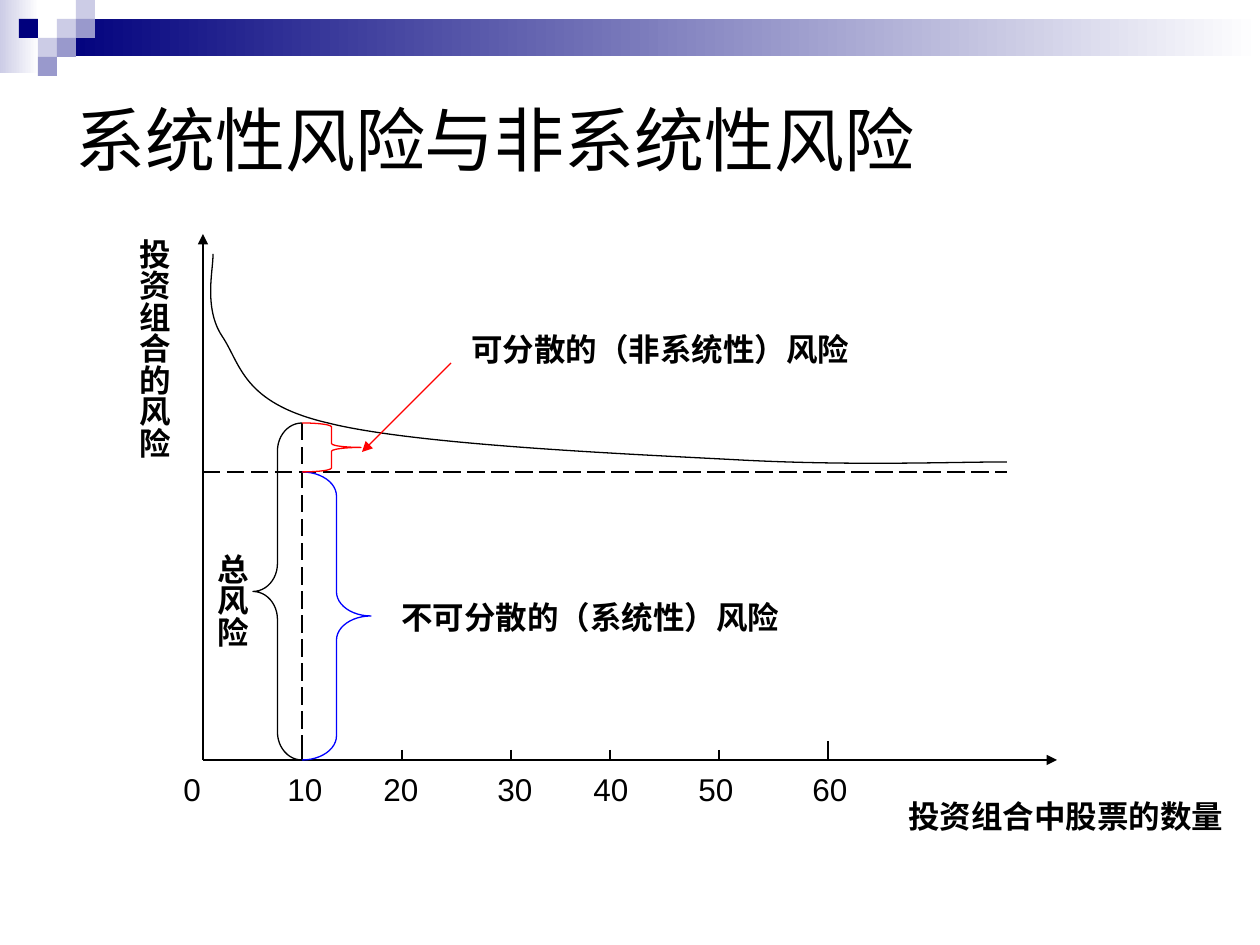
from dataclasses import dataclass

from pptx import Presentation
from pptx.dml.color import RGBColor
from pptx.enum.dml import MSO_LINE as Dash
from pptx.enum.shapes import MSO_CONNECTOR as Connector, MSO_SHAPE as Shape
from pptx.enum.text import MSO_ANCHOR as Anchor, MSO_AUTO_SIZE as AutoSize
from pptx.oxml.ns import qn
from pptx.util import Pt
from lxml.etree import SubElement

EMU_PER_PX = 914400 / 126


@dataclass(frozen=True)
class Theme:
    black: str = "000000"
    white: str = "FFFFFF"
    navy: str = "00007D"
    lilac: str = "CCCCE6"
    violet: str = "9999CC"
    red: str = "FF0000"
    blue: str = "0000FF"
    latin: str = "Arial"
    chinese: str = "Noto Sans CJK SC"
    title_size: int = 40
    label_size: int = 18
    thin: float = 0.75
    dashed: float = 1.25


THEME = Theme()


def px(value):
    return round(value * EMU_PER_PX)


def box(*lengths):
    return [px(length) for length in lengths]


def rgb(color):
    return RGBColor.from_string(color)


def add_block(slide, bounds, start, end=None):
    """Borderless rectangle, plain or fading from left to right."""
    block = slide.shapes.add_shape(Shape.RECTANGLE, *box(*bounds))
    block.shadow.inherit = False
    block.line.fill.background()
    if end is None:
        block.fill.solid()
        block.fill.fore_color.rgb = rgb(start)
        return
    block.fill.gradient()
    block.fill.gradient_angle = 0
    for stop, color in zip(block.fill.gradient_stops, (start, end)):
        stop.color.rgb = rgb(color)


def add_line(slide, start, end, color=THEME.black, arrow=False, dashed=False):
    line = slide.shapes.add_connector(Connector.STRAIGHT, *box(*start, *end))
    line.line.color.rgb = rgb(color)
    line.line.width = Pt(THEME.dashed if dashed else THEME.thin)
    if dashed:
        line.line.dash_style = Dash.LONG_DASH
    if arrow:
        SubElement(line.line._get_or_add_ln(), qn("a:tailEnd"), type="triangle")
    SubElement(line._element.spPr, qn("a:effectLst"))


def add_brace(slide, kind, bounds, color):
    brace = slide.shapes.add_shape(kind, *box(*bounds))
    brace.shadow.inherit = False
    brace.fill.background()
    brace.line.color.rgb = rgb(color)
    brace.line.width = Pt(THEME.thin)
    # Each rounded part takes a twelfth of the height
    width, height = bounds[2:]
    brace.adjustments[0] = round(height / 12 / min(width, height), 2)


def add_curve(slide, points):
    """Smooth open path: a start point, then three Bezier points a segment."""
    builder = slide.shapes.build_freeform(*points[0], scale=EMU_PER_PX)
    builder.add_line_segments(points[1:], close=False)
    curve = builder.convert_to_shape()
    curve.shadow.inherit = False
    curve.fill.background()
    curve.line.color.rgb = rgb(THEME.black)
    curve.line.width = Pt(THEME.thin)
    outline = next(curve._element.iter(qn("a:path")))
    steps = outline.findall(qn("a:lnTo"))
    for first in range(0, len(steps), 3):
        bezier = SubElement(outline, qn("a:cubicBezTo"))
        for step in steps[first:first + 3]:
            bezier.append(step[0])
            outline.remove(step)


def add_text(slide, bounds, text, size=THEME.label_size, bold=False,
             latin=THEME.latin, vertical=False, wrap=False, tabs=()):
    label = slide.shapes.add_textbox(*box(*bounds))
    frame = label.text_frame
    frame.text = text
    frame.word_wrap = wrap
    frame.auto_size = AutoSize.NONE if wrap else AutoSize.SHAPE_TO_FIT_TEXT
    if vertical:
        frame._txBody.bodyPr.set("vert", "eaVert")
        frame.margin_left = frame.margin_right = Pt(3.6)
        frame.margin_top = frame.margin_bottom = Pt(7.2)
    paragraph = frame.paragraphs[0]
    if tabs:
        tab_list = SubElement(paragraph._p.get_or_add_pPr(), qn("a:tabLst"))
        for tab in tabs:
            SubElement(tab_list, qn("a:tab"), pos=str(px(tab)), algn="l")
    for run in paragraph.runs:
        run.font.size = Pt(size)
        run.font.bold = bold
        run.font.name = latin
        run.font.color.rgb = rgb(THEME.black)
        SubElement(run._r.get_or_add_rPr(), qn("a:ea"), typeface=THEME.chinese)
    return frame


def add_banner(slide):
    add_block(slide, (0, 0, 39, 73), THEME.lilac, THEME.white)
    add_block(slide, (57, 19, 1203, 37), THEME.navy, THEME.white)
    side = 19
    squares = [(3, 1, THEME.lilac), (4, 0, THEME.lilac), (4, 1, THEME.violet),
               (2, 2, THEME.lilac), (1, 1, THEME.navy), (3, 2, THEME.violet),
               (2, 3, THEME.violet)]
    for column, row, color in squares:
        add_block(slide, (column * side, row * side, side, side), color)


def add_risk_diagram(slide):
    left, base, market_risk, total_risk = 203, 760, 472, 423
    tick_xs = [302, 402, 511, 610, 719, 828]
    sample = tick_xs[0]

    # Axes, level of systematic risk and ticks
    add_line(slide, (left, base), (1057, base), arrow=True)
    add_line(slide, (left, base), (left, 234), arrow=True)
    add_line(slide, (left, market_risk), (1007, market_risk), dashed=True)
    for x in tick_xs:
        add_line(slide, (x, 741 if x == tick_xs[-1] else 750), (x, base))
    add_text(slide, (171, 764, 690, 50), "0\t10\t20\t30\t40\t50\t60",
             wrap=True, tabs=(104, 200, 314, 410, 515, 629))

    # Falling portfolio risk
    add_curve(slide, [(213, 254), (214, 267), (203, 307), (222, 336),
                      (241, 364), (242, 403), (328, 423),
                      (415, 445), (627, 454), (740, 460),
                      (853, 466), (951, 462), (1007, 462)])
    add_line(slide, (sample, total_risk), (sample, base), dashed=True)

    # Braces splitting the total risk
    add_brace(slide, Shape.RIGHT_BRACE,
              (sample, market_risk, 69, base - market_risk), THEME.blue)
    add_brace(slide, Shape.LEFT_BRACE,
              (sample - 49, total_risk, 49, base - total_risk), THEME.black)
    add_brace(slide, Shape.RIGHT_BRACE,
              (sample, total_risk, 59, market_risk - total_risk), THEME.red)
    add_line(slide, (451, 363), (362, 452), THEME.red, arrow=True)

    # Labels
    add_text(slide, (389, 592, 403, 50), "不可分散的（系统性）风险", bold=True)
    add_text(slide, (459, 324, 403, 50), "可分散的（非系统性）风险", bold=True)
    add_text(slide, (896, 791, 340, 50), "投资组合中股票的数量", bold=True)
    add_text(slide, (194, 541, 63, 107), "总风险", bold=True, vertical=True)
    add_text(slide, (116, 226, 63, 233), "投资组合的风险", bold=True, vertical=True)


def main():
    deck = Presentation()
    deck.slide_width, deck.slide_height = box(1260, 945)
    slide = deck.slides.add_slide(deck.slide_layouts[6])
    add_banner(slide)
    title = add_text(slide, (63, 63, 1134, 151), "系统性风险与非系统性风险",
                     THEME.title_size, latin=THEME.chinese, wrap=True)
    title.vertical_anchor = Anchor.MIDDLE
    add_risk_diagram(slide)
    deck.save("out.pptx")


if __name__ == "__main__":
    main()
